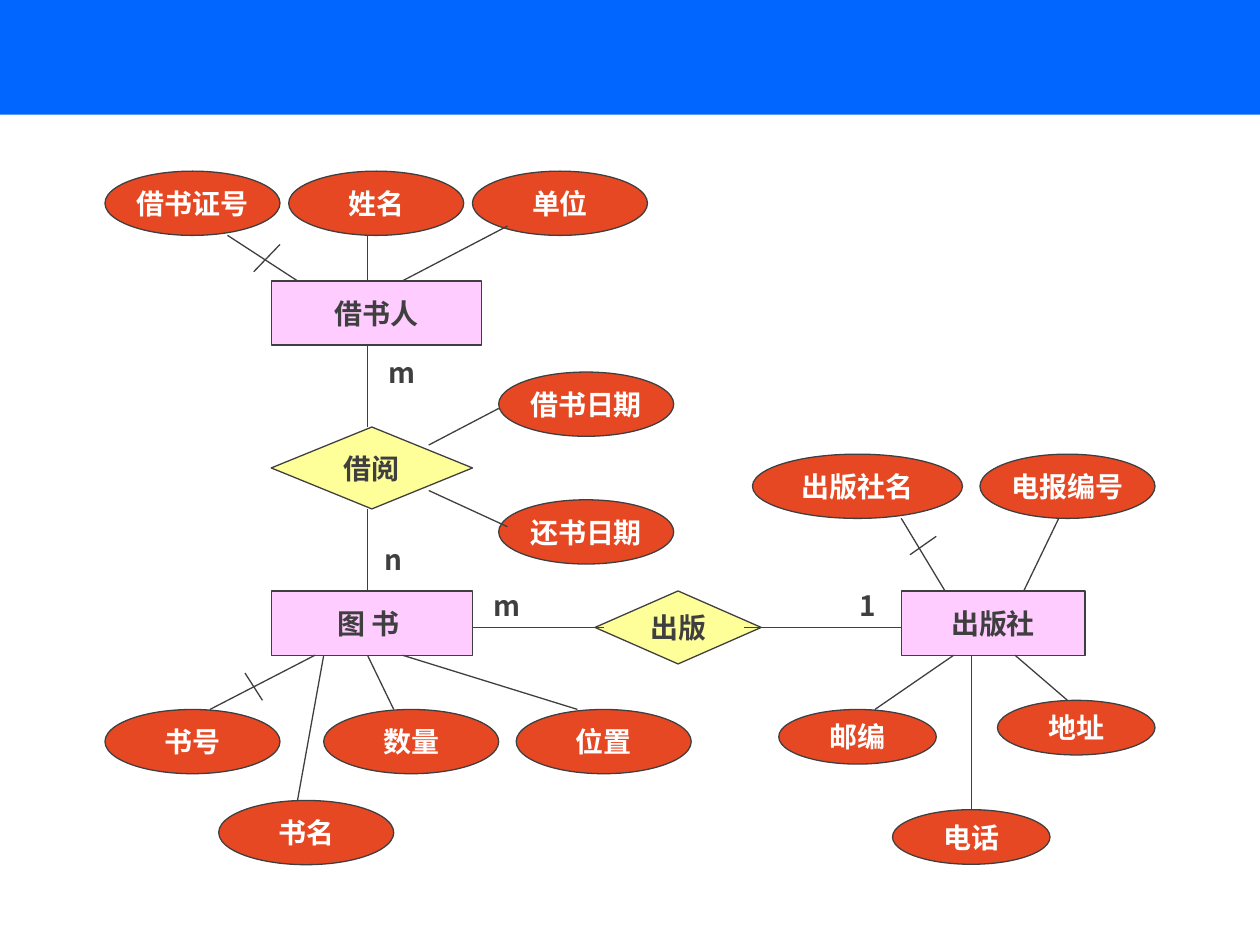
from dataclasses import dataclass
from typing import NamedTuple

from lxml.etree import SubElement
from pptx import Presentation
from pptx.dml.color import RGBColor
from pptx.enum.shapes import MSO_CONNECTOR, MSO_SHAPE
from pptx.enum.text import MSO_ANCHOR, MSO_AUTO_SIZE, PP_ALIGN
from pptx.oxml.ns import qn
from pptx.util import Pt


@dataclass(frozen=True)
class Theme:
    band: str = "0066FF"
    entity: str = "FFCCFF"
    relation: str = "FFFF99"
    attribute: str = "E64823"
    ink: str = "3F3F3F"
    light: str = "FFFFFF"
    font: str = "Noto Sans CJK SC"
    size: float = 16
    stroke: float = 0.75


THEME = Theme()


class Kind(NamedTuple):
    outline: MSO_SHAPE
    fill: str
    ink: str


ENTITY = Kind(MSO_SHAPE.RECTANGLE, THEME.entity, THEME.ink)
RELATION = Kind(MSO_SHAPE.FLOWCHART_DECISION, THEME.relation, THEME.ink)
ATTRIBUTE = Kind(MSO_SHAPE.OVAL, THEME.attribute, THEME.light)


@dataclass(frozen=True)
class Node:
    label: str
    left: float
    top: float
    width: float = 100
    height: float = 36.7
    kind: Kind = ATTRIBUTE

    @property
    def bottom(self) -> float:
        return self.top + self.height


class Spoke(NamedTuple):
    upper: Node
    lower: Node
    start_x: float
    end_x: float


class Stroke(NamedTuple):
    x1: float
    y1: float
    x2: float
    y2: float


class Cardinality(NamedTuple):
    label: str
    left: float
    top: float
    width: float


def rgb(value: str) -> RGBColor:
    return RGBColor.from_string(value)


def write(frame, label: str, ink: str, align: PP_ALIGN, **frame_format) -> None:
    for name, value in {"word_wrap": False, **frame_format}.items():
        setattr(frame, name, value)
    paragraph = frame.paragraphs[0]
    paragraph.alignment = align
    run = paragraph.add_run()
    run.text = label
    font_format = {"name": THEME.font, "size": Pt(THEME.size), "bold": True}
    for name, value in font_format.items():
        setattr(run.font, name, value)
    run.font.color.rgb = rgb(ink)
    SubElement(run.font._element, qn("a:ea"), typeface=THEME.font)


def draw_band(shapes, width: float, height: float) -> None:
    band = shapes.add_shape(MSO_SHAPE.RECTANGLE, 0, 0, Pt(width), Pt(height))
    band.shadow.inherit = False
    band.fill.solid()
    band.fill.fore_color.rgb = rgb(THEME.band)
    band.line.fill.background()


def draw_node(shapes, node: Node) -> None:
    box = map(Pt, (node.left, node.top, node.width, node.height))
    body = shapes.add_shape(node.kind.outline, *box)
    body.shadow.inherit = False
    body.fill.solid()
    body.fill.fore_color.rgb = rgb(node.kind.fill)
    body.line.color.rgb = rgb(THEME.ink)
    body.line.width = Pt(THEME.stroke)
    write(body.text_frame, node.label, node.kind.ink, PP_ALIGN.CENTER,
          vertical_anchor=MSO_ANCHOR.MIDDLE)


def draw_stroke(shapes, stroke: Stroke) -> None:
    link = shapes.add_connector(MSO_CONNECTOR.STRAIGHT, *map(Pt, stroke))
    link.line.color.rgb = rgb(THEME.ink)
    link.line.width = Pt(THEME.stroke)
    SubElement(link._element.spPr, qn("a:effectLst"))


def draw_spoke(shapes, spoke: Spoke) -> None:
    draw_stroke(shapes, Stroke(spoke.start_x, spoke.upper.bottom,
                               spoke.end_x, spoke.lower.top))


def draw_cardinality(shapes, mark: Cardinality) -> None:
    box = shapes.add_textbox(*map(Pt, (mark.left, mark.top, mark.width, 26.6)))
    write(box.text_frame, mark.label, THEME.ink, PP_ALIGN.LEFT,
          auto_size=MSO_AUTO_SIZE.SHAPE_TO_FIT_TEXT)


ENTITY_LEFT, AXIS_X, ENTITY_ROW, RELATION_Y = 155, 210, 337.7, 358.5
SMALL = {"width": 90, "height": 31.2}

borrower = Node("借书人", ENTITY_LEFT, 160.5, 120, kind=ENTITY)
book = Node("图 书 ", ENTITY_LEFT, ENTITY_ROW, 115, kind=ENTITY)
publisher = Node("出版社", 515, ENTITY_ROW, 105, kind=ENTITY)
borrowing = Node("借阅", ENTITY_LEFT, 244, 115, 46.8, RELATION)
publishing = Node("出版", 340, ENTITY_ROW, 95, 41.7, RELATION)

card_number, person_name, unit = (
    Node(label, 60 + 105 * column, 97.8)
    for column, label in enumerate(("借书证号", "姓名", "单位")))
borrow_date, return_date = (
    Node(label, 285, top)
    for label, top in (("借书日期", 212.6), ("还书日期", 285.6)))
book_number, quantity, position = (
    Node(label, left, 405.4)
    for label, left in (("书号", 60), ("数量", 185), ("位置", 295)))
book_name = Node("书名", 125, 457.4)
publisher_name = Node("出版社名", 430, 259.5, 120)
telegraph = Node("电报编号", 560, 259.5)
postcode = Node("邮编", 445, 405.4, **SMALL)
address = Node("地址", 570, 400.2, **SMALL)
telephone = Node("电话", 510, 462.7, **SMALL)

NODES = (
    borrower, book, publisher, borrowing, publishing, card_number, person_name,
    unit, borrow_date, return_date, book_number, quantity, position, book_name,
    publisher_name, telegraph, postcode, address, telephone,
)
SPOKES = (
    Spoke(card_number, borrower, 130, 170),
    Spoke(person_name, borrower, AXIS_X, AXIS_X),
    Spoke(borrower, borrowing, AXIS_X, AXIS_X),
    Spoke(borrowing, book, AXIS_X, AXIS_X),
    Spoke(book, book_number, 180, 120),
    Spoke(book, book_name, 185, 170),
    Spoke(book, quantity, AXIS_X, 225),
    Spoke(book, position, 230, 330),
    Spoke(publisher_name, publisher, 515, 540),
    Spoke(telegraph, publisher, 605, 585),
    Spoke(publisher, postcode, 545, 500),
    Spoke(publisher, telephone, 555, 555),
    Spoke(publisher, address, 580, 610),
)
STROKES = (
    Stroke(290, 129.2, 230, 160.5),
    Stroke(285, 233.4, 245, 254.3),
    Stroke(245, 280.3, 290, 301),
    Stroke(345, RELATION_Y, 270, RELATION_Y),
    Stroke(425, RELATION_Y, 515, RELATION_Y),
    Stroke(160, 139.7, 145, 155.3),
    Stroke(140, 384.6, 150, 400.2),
    Stroke(535, 306.5, 520, 317),
)
CARDINALITIES = (
    Cardinality("m", 214.7, 199.5, 30),
    Cardinality("n", 212.5, 306.6, 24.5),
    Cardinality("m", 275, 332.6, 30),
    Cardinality("1", 484, 332.6, 24.5),
)

deck = Presentation()
for name, value in {"slide_width": Pt(720), "slide_height": Pt(540)}.items():
    setattr(deck, name, value)
shapes = deck.slides.add_slide(deck.slide_layouts[6]).shapes

draw_band(shapes, 723, 65.6)
for draw, parts in ((draw_node, NODES), (draw_spoke, SPOKES),
                    (draw_stroke, STROKES), (draw_cardinality, CARDINALITIES)):
    for part in parts:
        draw(shapes, part)

deck.save("out.pptx")
